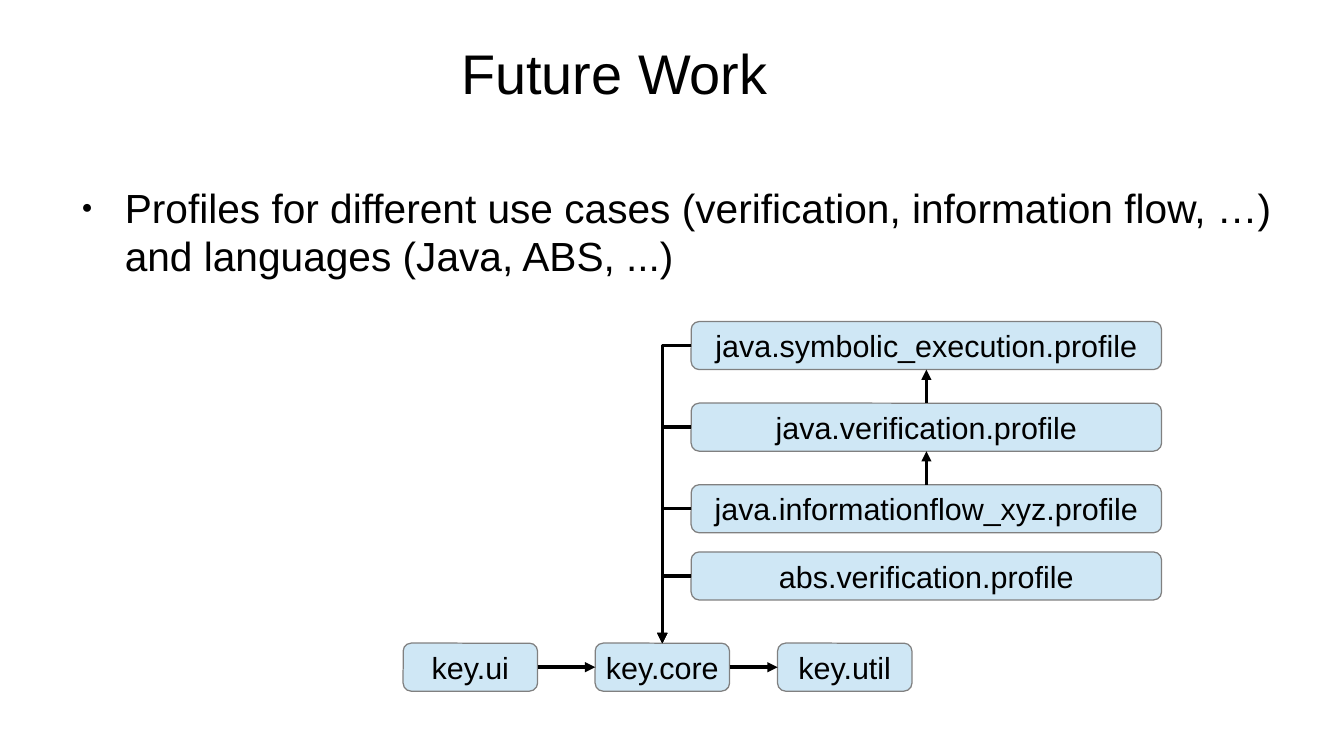
"""Build the Future Work slide with its module dependency diagram."""
from lxml import etree
from pptx import Presentation
from pptx import util as u
from pptx.dml.color import RGBColor
from pptx.enum import shapes, text
from pptx.oxml.ns import qn

TITLE = "Future Work"
BULLET = ("Profiles for different use cases (verification, information flow, …) "
          "and languages (Java, ABS, ...)")
MODULES = [("key.ui", 8.4), ("key.core", 12.4), ("key.util", 16.2)]
PROFILES = [
    ("java.symbolic_execution.profile", 6.7),
    ("java.verification.profile", 8.4),
    ("java.informationflow_xyz.profile", 10.1),
    ("abs.verification.profile", 11.5),
]
STRAIGHT_LINKS = [
    ("key.ui", 3, "key.core", 1),
    ("key.core", 3, "key.util", 1),
    ("java.informationflow_xyz.profile", 0, "java.verification.profile", 2),
    ("java.verification.profile", 0, "java.symbolic_execution.profile", 2),
]
PROFILE_LINKS = [(name, 1, "key.core", 0) for name, top in PROFILES]

PAGE_SIZE = (28, 15.75)
TITLE_AREA = (1.4, 0.6, 22.8, 1.8)
BODY_AREA = (1.4, 3.8, 25.2, 10.2)
MODULE_TOP, MODULE_WIDTH = 13.4, 2.8
PROFILE_LEFT, PROFILE_WIDTH = 14.4, 9.8
BOX_HEIGHT = 1


class Theme:
    """Colours, font and type sizes."""
    ink = RGBColor(0, 0, 0)
    fill = RGBColor(0xCF, 0xE7, 0xF5)
    border = RGBColor(0x80, 0x80, 0x80)
    font = "Arial"
    title, body, label = 33, 24, 18
    hairline = u.Pt(0)


def apply(target, values):
    """Set every attribute in a dict of format values."""
    for name, value in values.items():
        setattr(target, name, value)


def place(shape, area):
    """Move a shape to an area given in centimetres."""
    apply(shape, dict(zip(("left", "top", "width", "height"), map(u.Cm, area))))


def write(shape, words, size, frame_format, para_format):
    """Write one formatted paragraph into a shape."""
    frame = shape.text_frame
    apply(frame, frame_format)
    para = frame.paragraphs[0]
    apply(para, para_format)
    span = para.add_run()
    span.text = words
    apply(span.font, {"name": Theme.font, "size": u.Pt(size)})
    span.font.color.rgb = Theme.ink
    return para


def add_bullet(para):
    """Give a paragraph a small round bullet and a hanging indent."""
    props = para._p.get_or_add_pPr()
    props.set("marL", str(u.Cm(1.2)))
    props.set("indent", str(u.Cm(-0.9)))
    colour = etree.SubElement(props, qn("a:buClr"))
    etree.SubElement(colour, qn("a:srgbClr"), val=str(Theme.ink))
    etree.SubElement(props, qn("a:buSzPct"), val="45000")
    etree.SubElement(props, qn("a:buFont"), typeface=Theme.font)
    etree.SubElement(props, qn("a:buChar"), char="●")


def add_box(page, words, area):
    """Add a rounded box with a centred label."""
    box = page.shapes.add_shape(shapes.MSO_SHAPE.ROUNDED_RECTANGLE, *map(u.Cm, area))
    box.shadow.inherit = False
    box.fill.solid()
    box.fill.fore_color.rgb = Theme.fill
    box.line.color.rgb = Theme.border
    box.line.width = Theme.hairline
    write(box, words, Theme.label,
          {"word_wrap": False, "vertical_anchor": text.MSO_ANCHOR.MIDDLE},
          {"alignment": text.PP_ALIGN.CENTER})
    return box


def add_arrow(page, boxes, link, kind):
    """Join two boxes with a thin arrow."""
    source, source_side, target, target_side = link
    arrow = page.shapes.add_connector(kind, 0, 0, 0, 0)
    arrow.begin_connect(boxes[source], source_side)
    arrow.end_connect(boxes[target], target_side)
    arrow.line.color.rgb = Theme.ink
    arrow.line.width = Theme.hairline
    props = arrow._element.spPr
    etree.SubElement(props.find(qn("a:ln")), qn("a:tailEnd"), type="triangle")
    etree.SubElement(props, qn("a:effectLst"))
    if kind == shapes.MSO_CONNECTOR.ELBOW:
        props.find(qn("a:prstGeom")).set("prst", "bentConnector2")


def main():
    """Build and save the deck."""
    deck = Presentation()
    deck.slide_width, deck.slide_height = map(u.Cm, PAGE_SIZE)
    page = deck.slides.add_slide(deck.slide_layouts[1])
    title, body = page.placeholders
    place(title, TITLE_AREA)
    place(body, BODY_AREA)
    flush = {"margin_left": 0, "margin_top": 0, "margin_right": 0, "margin_bottom": 0,
             "word_wrap": True, "auto_size": text.MSO_AUTO_SIZE.NONE}
    write(title, TITLE, Theme.title,
          {**flush, "vertical_anchor": text.MSO_ANCHOR.MIDDLE},
          {"alignment": text.PP_ALIGN.CENTER})
    para = write(body, BULLET, Theme.body,
                 {**flush, "vertical_anchor": text.MSO_ANCHOR.TOP},
                 {"space_before": u.Pt(0), "space_after": u.Pt(10.6)})
    add_bullet(para)

    areas = {name: (left, MODULE_TOP, MODULE_WIDTH, BOX_HEIGHT) for name, left in MODULES}
    areas.update({name: (PROFILE_LEFT, top, PROFILE_WIDTH, BOX_HEIGHT)
                  for name, top in PROFILES})
    boxes = {name: add_box(page, name, area) for name, area in areas.items()}
    for links, kind in ((STRAIGHT_LINKS, shapes.MSO_CONNECTOR.STRAIGHT),
                        (PROFILE_LINKS, shapes.MSO_CONNECTOR.ELBOW)):
        for link in links:
            add_arrow(page, boxes, link, kind)
    deck.save("out.pptx")


if __name__ == "__main__":
    main()
